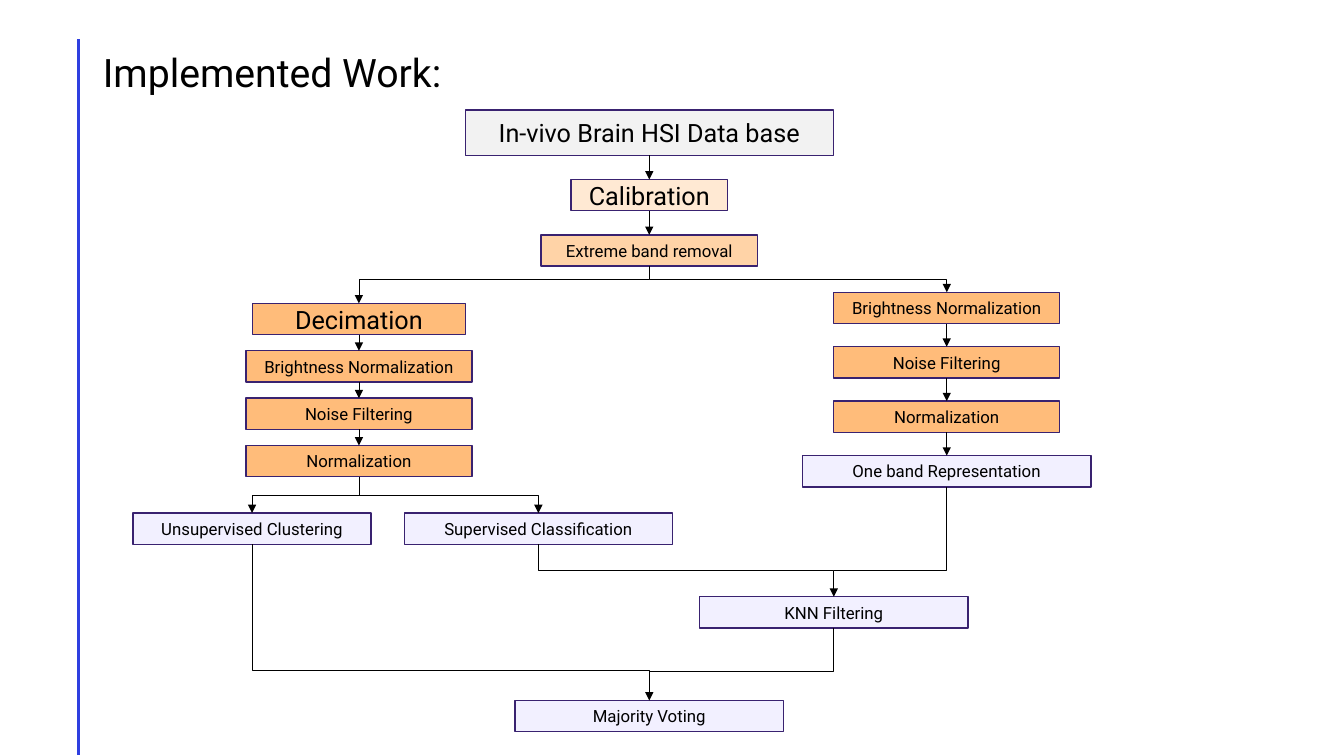
from dataclasses import dataclass

from lxml.etree import SubElement
from pptx import Presentation
from pptx.dml.color import RGBColor
from pptx.enum.shapes import MSO_CONNECTOR, MSO_SHAPE
from pptx.enum.text import MSO_ANCHOR, MSO_AUTO_SIZE, PP_ALIGN
from pptx.oxml.ns import qn
from pptx.util import Inches, Pt


@dataclass(frozen=True)
class Theme:
    font: str = "Roboto"
    text: str = "000000"
    accent: str = "2F3FE0"
    border: str = "392270"
    source: str = "F2F2F2"
    calibrate: str = "FFE9D3"
    trim: str = "FFD3A7"
    prepare: str = "FFBC7A"
    analyse: str = "F2F0FF"
    title_size: int = 28
    large: int = 18
    small: int = 12


THEME = Theme()
TITLE = "Implemented Work:"
TRUNK, LEFT, RIGHT = 6.44, 3.56, 9.39
BOX_HEIGHT = 0.31

# Steps: key -> (text, centre x, top, width, height, fill, type size)
STEPS = {
    "database": ("In-vivo Brain HSI Data base", TRUNK, 1.09, 3.65, 0.45, THEME.source, THEME.large),
    "calibration": ("Calibration", TRUNK, 1.78, 1.55, BOX_HEIGHT, THEME.calibrate, THEME.large),
    "bands": ("Extreme band removal", TRUNK, 2.33, 2.15, BOX_HEIGHT, THEME.trim, THEME.small),
    "decimation": ("Decimation", LEFT, 3.01, 2.11, BOX_HEIGHT, THEME.prepare, THEME.large),
    "one band": ("One band Representation", RIGHT, 4.52, 2.86, BOX_HEIGHT, THEME.analyse, THEME.small),
    "clustering": ("Unsupervised Clustering", 2.5, 5.09, 2.36, BOX_HEIGHT, THEME.analyse, THEME.small),
    "classification": ("Supervised Classification", 5.34, 5.09, 2.66, BOX_HEIGHT, THEME.analyse, THEME.small),
    "knn": ("KNN Filtering", 8.27, 5.92, 2.66, BOX_HEIGHT, THEME.analyse, THEME.small),
    "voting": ("Majority Voting", TRUNK, 6.95, 2.66, BOX_HEIGHT, THEME.analyse, THEME.small),
}

# Both branches run the same preparation: side -> (centre x, first top, pitch)
PREPARATION = ["Brightness Normalization", "Noise Filtering", "Normalization"]
BRANCHES = {"left": (LEFT, 3.48, 0.47), "right": (RIGHT, 2.9, 0.54)}
for side, (center, first_top, pitch) in BRANCHES.items():
    for index, name in enumerate(PREPARATION):
        STEPS[f"{side} {index}"] = (name, center, first_top + index * pitch, 2.24,
                                    BOX_HEIGHT, THEME.prepare, THEME.small)

CHAINS = [
    ["database", "calibration", "bands"],
    ["decimation", "left 0", "left 1", "left 2"],
    ["right 0", "right 1", "right 2", "one band"],
]
# Splits: source, main target, second target
SPLITS = [("bands", "right 0", "decimation"), ("left 2", "clustering", "classification")]
# Merges: main source, second source, target, share of the drop before the bend
MERGES = [("classification", "one band", "knn", 0.5), ("clustering", "knn", "voting", 0.81)]


def style_runs(paragraph, size):
    for run in paragraph.runs:
        run.font.name = THEME.font
        run.font.size = Pt(size)
        run.font.color.rgb = RGBColor.from_string(THEME.text)


def add_step(slide, text, center, top, width, height, fill, size):
    shape = slide.shapes.add_shape(MSO_SHAPE.RECTANGLE, Inches(center - width / 2), Inches(top),
                                   Inches(width), Inches(height))
    shape.shadow.inherit = False
    shape.fill.solid()
    shape.fill.fore_color.rgb = RGBColor.from_string(fill)
    shape.line.color.rgb = RGBColor.from_string(THEME.border)
    shape.line.width = Pt(1)
    frame = shape.text_frame
    frame.text = text
    frame.vertical_anchor = MSO_ANCHOR.MIDDLE
    frame.paragraphs[0].alignment = PP_ALIGN.CENTER
    style_runs(frame.paragraphs[0], size)
    return shape


def add_line(slide, start, end, kind=MSO_CONNECTOR.STRAIGHT, color=THEME.text, width=0.5, arrow=True):
    connector = slide.shapes.add_connector(kind, *(Inches(value) for value in (*start, *end)))
    connector.line.color.rgb = RGBColor.from_string(color)
    connector.line.width = Pt(width)
    properties = connector._element.spPr
    if arrow:
        SubElement(properties.find(qn("a:ln")), qn("a:tailEnd"), type="triangle")
    SubElement(properties, qn("a:effectLst"))
    return connector


def set_bends(connector, preset, share=None):
    geometry = connector._element.spPr.find(qn("a:prstGeom"))
    geometry.set("prst", preset)
    if share is not None:
        guides = geometry.find(qn("a:avLst"))
        if guides is None:
            guides = SubElement(geometry, qn("a:avLst"))
        SubElement(guides, qn("a:gd"), name="adj1", fmla=f"val {round(share * 100000)}")


def add_vertical_elbow(slide, start, end, preset, share=None, arrow=True):
    """Elbow that leaves downwards: a level elbow turned by a quarter."""
    across, down = end[0] - start[0], end[1] - start[1]
    middle_x, middle_y = (start[0] + end[0]) / 2, (start[1] + end[1]) / 2
    half_width, half_height = down / 2, abs(across) / 2
    connector = add_line(slide, (middle_x - half_width, middle_y - half_height),
                         (middle_x + half_width, middle_y + half_height),
                         MSO_CONNECTOR.ELBOW, arrow=arrow)
    transform = connector._element.spPr.find(qn("a:xfrm"))
    transform.set("rot", "16200000" if across > 0 else "5400000")
    if across > 0:
        transform.set("flipH", "1")
    set_bends(connector, preset, share)


def top_of(key):
    return STEPS[key][1], STEPS[key][2]


def bottom_of(key):
    return STEPS[key][1], STEPS[key][2] + STEPS[key][4]


def main():
    presentation = Presentation()
    presentation.slide_width, presentation.slide_height = Inches(13.33), Inches(7.5)
    slide = presentation.slides.add_slide(presentation.slide_layouts[5])

    # Side rule and title
    add_line(slide, (0.78, 0.39), (0.78, 7.49), color=THEME.accent, width=2, arrow=False)
    title = slide.shapes.title
    title.left, title.top, title.width, title.height = map(Inches, (0.92, 0.4, 11.5, 0.69))
    title.text_frame.text = TITLE
    title.text_frame.auto_size = MSO_AUTO_SIZE.NONE
    title.text_frame.vertical_anchor = MSO_ANCHOR.MIDDLE
    heading = title.text_frame.paragraphs[0]
    heading.alignment = PP_ALIGN.LEFT
    heading.line_spacing = 0.9
    style_runs(heading, THEME.title_size)

    # Step boxes
    boxes = {key: add_step(slide, *step) for key, step in STEPS.items()}

    # Straight arrows, glued to the boxes
    for chain in CHAINS:
        for source, target in zip(chain, chain[1:]):
            connector = add_line(slide, bottom_of(source), top_of(target))
            connector.begin_connect(boxes[source], 2)
            connector.end_connect(boxes[target], 0)

    # One step into two
    for source, main_target, second_target in SPLITS:
        start, end = bottom_of(source), top_of(main_target)
        add_vertical_elbow(slide, start, end, "bentConnector3", 0.5)
        fork = (start[0], (start[1] + end[1]) / 2)
        side_arm = add_line(slide, fork, top_of(second_target), MSO_CONNECTOR.ELBOW)
        set_bends(side_arm, "bentConnector2")

    # Two steps into one
    for main_source, second_source, target, share in MERGES:
        start, end = bottom_of(main_source), top_of(target)
        add_vertical_elbow(slide, start, end, "bentConnector3", share)
        junction = (end[0], start[1] + share * (end[1] - start[1]))
        add_vertical_elbow(slide, bottom_of(second_source), junction, "bentConnector2", arrow=False)

    presentation.save("out.pptx")


if __name__ == "__main__":
    main()
